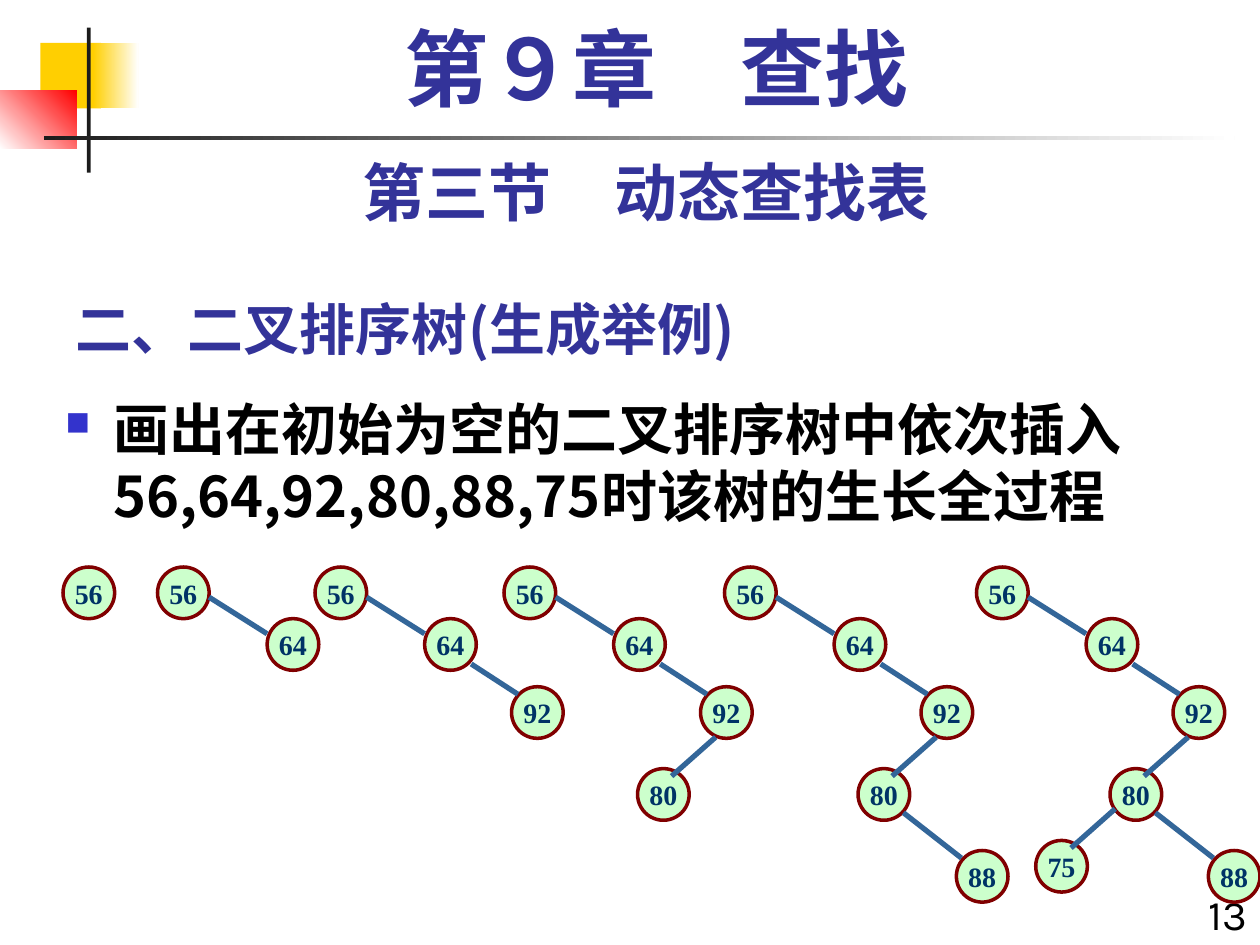
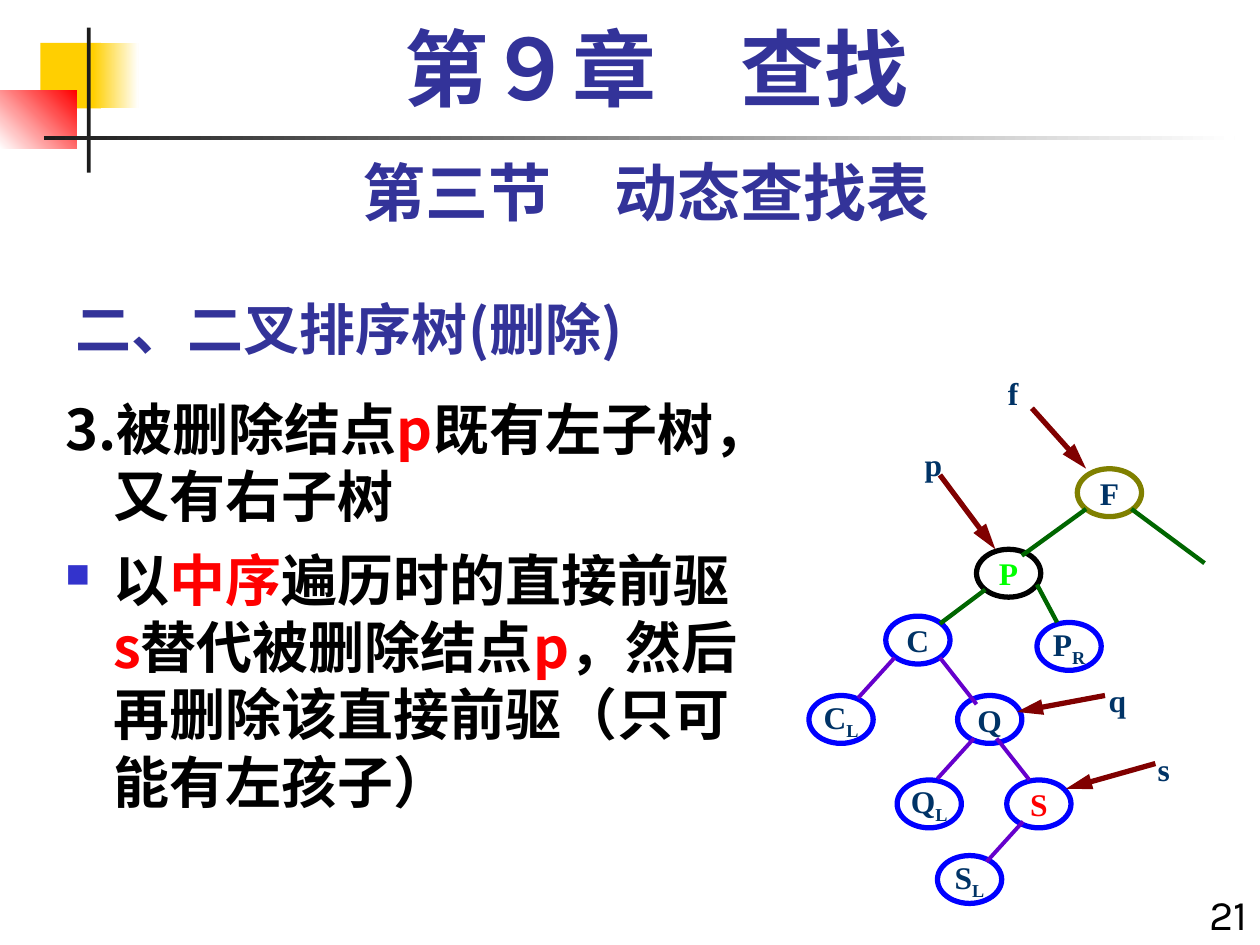
from dataclasses import dataclass

from lxml.etree import SubElement
from pptx import Presentation
from pptx.dml.color import RGBColor
from pptx.enum.shapes import MSO_CONNECTOR as Connector, MSO_SHAPE as Shape
from pptx.enum.text import MSO_ANCHOR as Anchor, MSO_AUTO_SIZE as AutoSize, PP_ALIGN as Align
from pptx.oxml.ns import qn
from pptx.util import Inches, Pt

COLORS = {
    "heading": "333399", "text": "000000", "accent": "FF0000", "bullet": "3333CC",
    "white": "FFFFFF", "yellow": "FFCF01", "red": "FF0000", "bar": "1C1C1C",
    "node_fill": "CCFFCC", "node_line": "800000", "node_text": "003366",
    "branch": "336699", "upper": "006600", "lower": "6600CC", "pointer": "800000",
    "olive": "808000", "blue": "0000FF", "black": "000000", "lime": "00FF00",
}
CJK, LATIN, SERIF = "Noto Sans CJK SC", "Karla", "Times New Roman"
Point = tuple[float, float]
Run = tuple[str, str]


@dataclass
class Band:
    box: tuple[float, float, float, float]
    start: str
    end: str | None = None
    angle: int = 0


@dataclass
class GrowthStep:
    """A key with its node position and the branch that leads to it."""
    key: int
    at: Point
    branch: tuple[Point, Point] | None = None


@dataclass
class TreeNode:
    name: str
    at: Point
    sub: str = ""
    outline: str = "blue"
    color: str = "node_text"


@dataclass
class Link:
    start: Point
    end: Point
    kind: str


@dataclass
class Label:
    name: str
    at: Point


BANDS = [
    Band((0.32, 0.34, 0.48, 0.52), "yellow"),
    Band((0.74, 0.34, 0.36, 0.52), "yellow", "white"),
    Band((0, 0.72, 0.61, 0.46), "white", "red", 45),
    Band((0.69, 0.22, 0.03, 1.15), "bar"),
    Band((0.35, 1.08, 9.45, 0.03), "bar", "white"),
]

# Insertion: every stage repeats the previous tree and adds one key
STAGE_LEFTS = [0.5, 1.25, 2.5, 4, 5.75, 7.75]
GROWTH = [
    GrowthStep(56, (0, 4.5)),
    GrowthStep(64, (0.87, 4.91), ((0.41, 4.74), (0.87, 5.03))),
    GrowthStep(92, (1.56, 5.45), ((1.24, 5.27), (1.61, 5.51))),
    GrowthStep(80, (1.06, 6.1), ((1.68, 5.85), (1.33, 6.16))),
    GrowthStep(88, (1.84, 6.75), ((1.42, 6.45), (1.88, 6.81))),
    GrowthStep(75, (0.47, 6.67), ((1.1, 6.42), (0.75, 6.73))),
]

# Deletion: the tree around node P
LINK_WIDTHS = {"upper": 2.5, "lower": 2.25, "pointer": 3}
TREE_NODES = [
    TreeNode("F", (8.55, 3.72), outline="olive"),
    TreeNode("P", (7.75, 4.36), outline="black", color="lime"),
    TreeNode("C", (7.03, 4.89)),
    TreeNode("P", (8.23, 4.94), "R"),
    TreeNode("C", (6.42, 5.52), "L"),
    TreeNode("Q", (7.6, 5.52)),
    TreeNode("Q", (7.12, 6.19), "L"),
    TreeNode("S", (7.99, 6.19), color="accent"),
    TreeNode("S", (7.44, 6.79), "L"),
]
LINKS = [
    Link((8.62, 4.04), (8.11, 4.41), "upper"),
    Link((8.98, 4.04), (9.56, 4.47), "upper"),
    Link((7.82, 4.68), (7.46, 4.95), "upper"),
    Link((8.23, 4.64), (8.39, 4.94), "upper"),
    Link((7.1, 5.22), (6.81, 5.54), "lower"),
    Link((7.46, 5.22), (7.75, 5.59), "lower"),
    Link((7.73, 5.86), (7.44, 6.18), "lower"),
    Link((7.91, 5.86), (8.17, 6.19), "lower"),
    Link((8.12, 6.52), (7.83, 6.84), "lower"),
    Link((8.19, 3.24), (8.62, 3.72), "pointer"),
    Link((7.46, 3.77), (7.9, 4.36), "pointer"),
    Link((8.77, 5.52), (8.07, 5.65), "pointer"),
    Link((9.17, 6.06), (8.46, 6.26), "pointer"),
]
POINTER_LABELS = [
    Label("f", (7.9, 2.92)), Label("p", (7.24, 3.48)),
    Label("q", (8.7, 5.36)), Label("s", (9.09, 5.9)),
]


def rgb(name: str) -> RGBColor:
    return RGBColor.from_string(COLORS[name])


# Text
def write(paragraph, text: str, *, size: float, color: str, font: str = CJK,
          bold: bool = True, align=Align.LEFT, baseline: int = 0):
    """Append a formatted run to the paragraph."""
    paragraph.alignment = align
    run = paragraph.add_run()
    run.text = text
    run.font.size, run.font.bold, run.font.name = Pt(size), bold, font
    run.font.color.rgb = rgb(color)
    props = run.font._element
    SubElement(props, qn("a:ea")).set("typeface", CJK)
    if baseline:
        props.set("baseline", str(baseline * 1000))


def add_text_frame(slide, box: tuple[float, float, float, float], wrap: bool = True):
    frame = slide.shapes.add_textbox(*map(Inches, box)).text_frame
    frame.word_wrap = wrap
    return frame


def hang(paragraph, bullet: bool):
    """Give the paragraph a hanging indent and, if asked, a square bullet."""
    props = paragraph._p.get_or_add_pPr()
    props.set("marL", str(Inches(0.38)))
    props.set("indent", str(-Inches(0.38)))
    if bullet:
        color = SubElement(props, qn("a:buClr"))
        SubElement(color, qn("a:srgbClr")).set("val", COLORS["bullet"])
        SubElement(props, qn("a:buSzPct")).set("val", "60000")
        SubElement(props, qn("a:buChar")).set("char", "■")


def add_body(slide, width: float, paragraphs: list[tuple[bool, list[Run]]]):
    frame = add_text_frame(slide, (0.42, 3.08, width, 4.42))
    for index, (bullet, runs) in enumerate(paragraphs):
        paragraph = frame.add_paragraph() if index else frame.paragraphs[0]
        paragraph.line_spacing = Pt(38.4)
        paragraph.space_before = Pt(9.6 if index else 0)
        hang(paragraph, bullet)
        for text, color in runs:
            write(paragraph, text, size=32, color=color)


# Shapes
def add_band(slide, band: Band):
    shape = slide.shapes.add_shape(Shape.RECTANGLE, *map(Inches, band.box))
    shape.shadow.inherit = False
    shape.line.fill.background()
    if band.end is None:
        shape.fill.solid()
        shape.fill.fore_color.rgb = rgb(band.start)
        return
    shape.fill.gradient()
    shape.fill.gradient_angle = band.angle
    for stop, position, color in zip(shape.fill.gradient_stops, (0, 1), (band.start, band.end)):
        stop.position = position
        stop.color.rgb = rgb(color)


def add_node(slide, at: Point, size: Point, outline: str, width: float, fill: str | None = None):
    """Draw an ellipse and return its centred paragraph."""
    node = slide.shapes.add_shape(Shape.OVAL, *map(Inches, at + size))
    node.shadow.inherit = False
    if fill:
        node.fill.solid()
        node.fill.fore_color.rgb = rgb(fill)
    else:
        node.fill.background()
    node.line.color.rgb, node.line.width = rgb(outline), Pt(width)
    node.text_frame.word_wrap = False
    node.text_frame.vertical_anchor = Anchor.MIDDLE
    return node.text_frame.paragraphs[0]


def add_line(slide, start: Point, end: Point, color: str, width: float, arrow: bool = False):
    line = slide.shapes.add_connector(Connector.STRAIGHT, *map(Inches, start + end))
    line.line.color.rgb, line.line.width = rgb(color), Pt(width)
    if arrow:
        head = SubElement(line.line._get_or_add_ln(), qn("a:tailEnd"))
        for key, value in (("type", "triangle"), ("w", "med"), ("len", "lg")):
            head.set(key, value)
    SubElement(line._element.spPr, qn("a:effectLst"))


# Parts that every slide has
def add_lecture_slide(deck, topic: str, number: int):
    slide = deck.slides.add_slide(deck.slide_layouts[5])
    for band in BANDS:
        add_band(slide, band)

    title = slide.shapes.title
    title.left, title.top, title.width, title.height = map(Inches, (0.5, 2.17, 6.25, 0.75))
    title.text_frame.auto_size = AutoSize.NONE
    title.text_frame.vertical_anchor = Anchor.BOTTOM
    write(title.text_frame.paragraphs[0], topic, size=32, color="heading")

    chapter = add_text_frame(slide, (0.67, 0.17, 9.08, 0.83)).paragraphs[0]
    chapter.line_spacing = 0.9
    write(chapter, "第９章　查找", size=48, color="heading", font=SERIF, align=Align.CENTER)
    section = add_text_frame(slide, (0.5, 1.17, 9.25, 0.7)).paragraphs[0]
    write(section, "第三节　动态查找表", size=36, color="heading", font=LATIN, align=Align.CENTER)
    page = add_text_frame(slide, (9.33, 7, 0.67, 0.5)).paragraphs[0]
    write(page, str(number), size=24, color="text", font=LATIN, bold=False, align=Align.RIGHT)
    return slide


# Slides
def build_insertion(deck):
    slide = add_lecture_slide(deck, "二、二叉排序树(生成举例)", 13)
    add_body(slide, 9.58, [
        (True, [("画出在初始为空的二叉排序树中依次插入56,64,92,80,88,75时该树的生长全过程", "text")]),
    ])
    for count, left in enumerate(STAGE_LEFTS, start=1):
        for step in GROWTH[:count]:
            x, y = step.at
            key = add_node(slide, (left + x, y), (0.41, 0.41), "node_line", 2, "node_fill")
            write(key, str(step.key), size=16, color="node_text", font=SERIF, align=Align.CENTER)
            if step.branch:
                start, end = ((left + bx, by) for bx, by in step.branch)
                add_line(slide, start, end, "branch", 3)


def build_deletion(deck):
    slide = add_lecture_slide(deck, "二、二叉排序树(删除)", 21)
    add_body(slide, 5.67, [
        (False, [("3.被删除结点", "text"), ("p", "accent"), ("既有左子树，又有右子树", "text")]),
        (True, [("以", "text"), ("中序", "accent"), ("遍历时的直接前驱", "text"), ("s", "accent"),
                ("替代被删除结点", "text"), ("p", "accent"),
                ("，然后再删除该直接前驱（只可能有左孩子）", "text")]),
    ])
    for node in TREE_NODES:
        name = add_node(slide, node.at, (0.51, 0.38), node.outline, 3)
        style = dict(size=18, color=node.color, font=SERIF, align=Align.CENTER)
        write(name, node.name, **style)
        if node.sub:
            write(name, node.sub, baseline=-25, **style)
    for link in LINKS:
        add_line(slide, link.start, link.end, link.kind, LINK_WIDTHS[link.kind],
                 arrow=link.kind == "pointer")
    for label in POINTER_LABELS:
        pointer = add_text_frame(slide, label.at + (0.34, 0.4), wrap=False).paragraphs[0]
        write(pointer, label.name, size=18, color="node_text", font=SERIF)


def main():
    deck = Presentation()
    deck.slide_width, deck.slide_height = Inches(10), Inches(7.5)
    build_insertion(deck)
    build_deletion(deck)
    deck.save("out.pptx")


if __name__ == "__main__":
    main()
